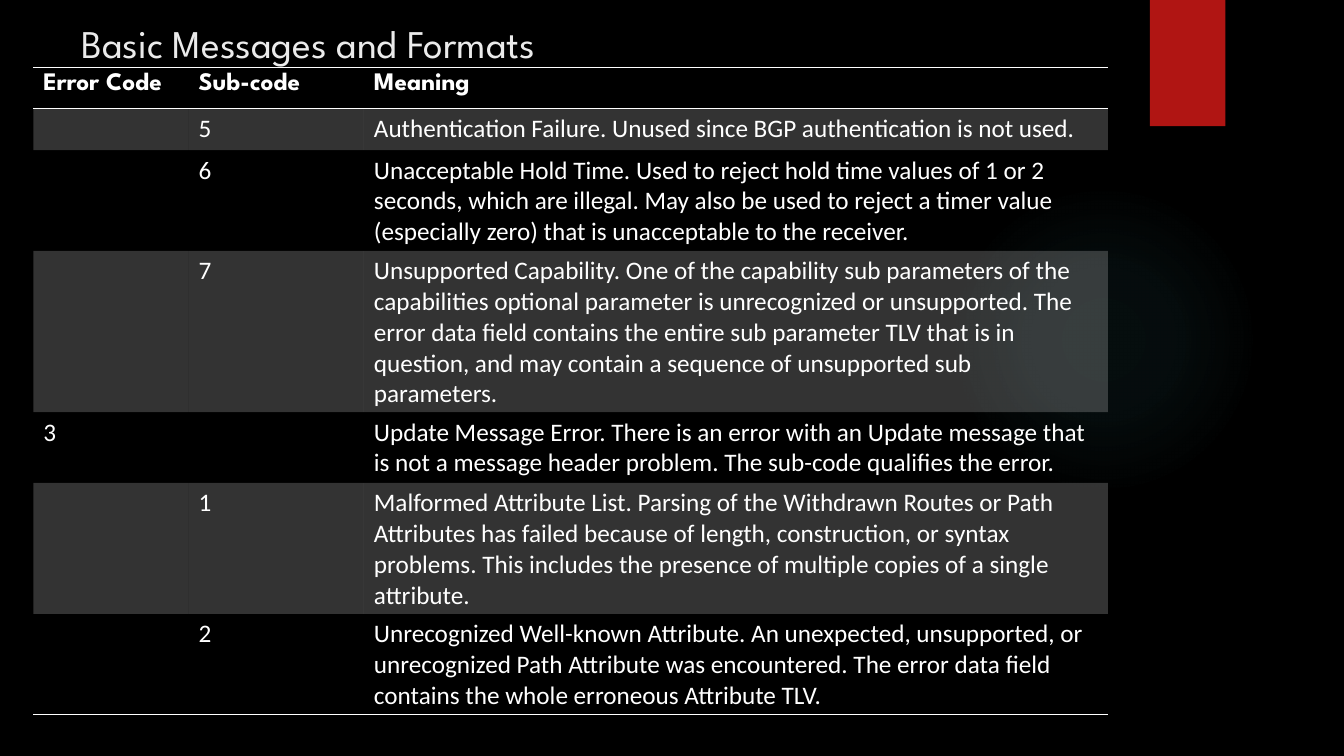
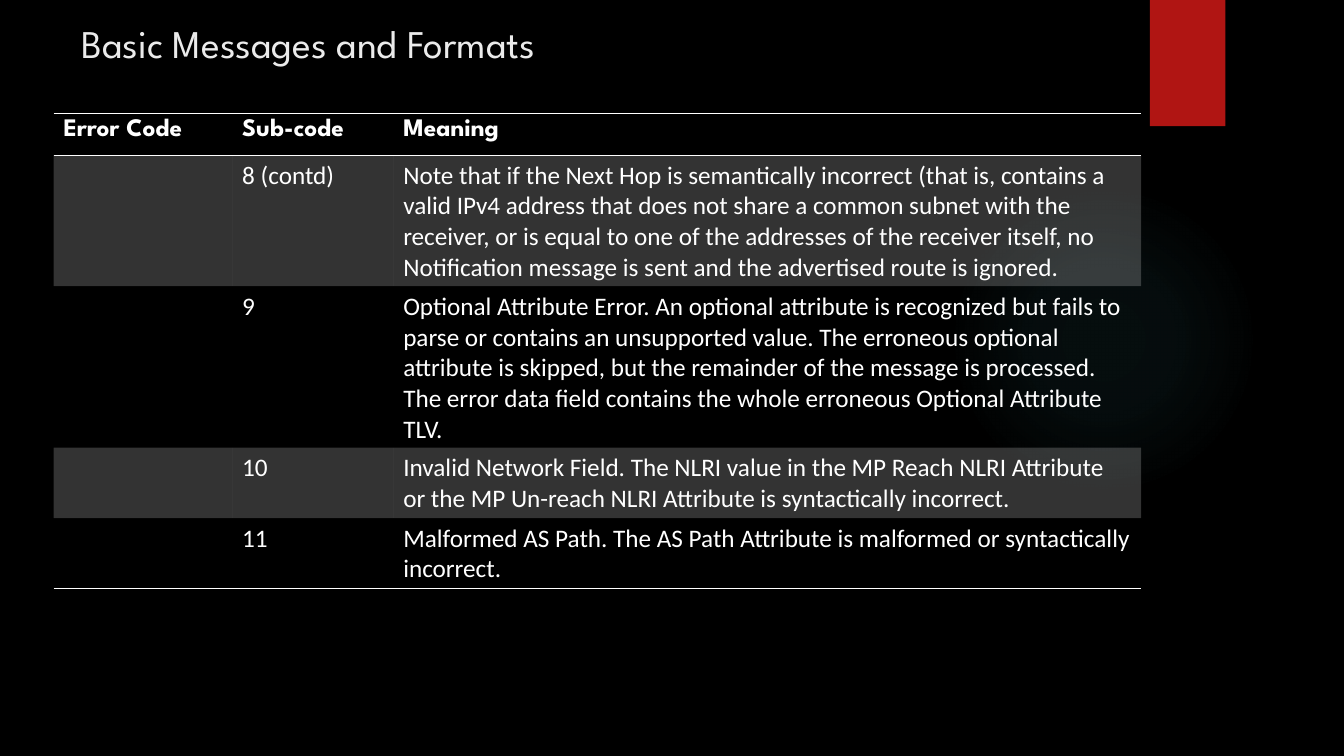
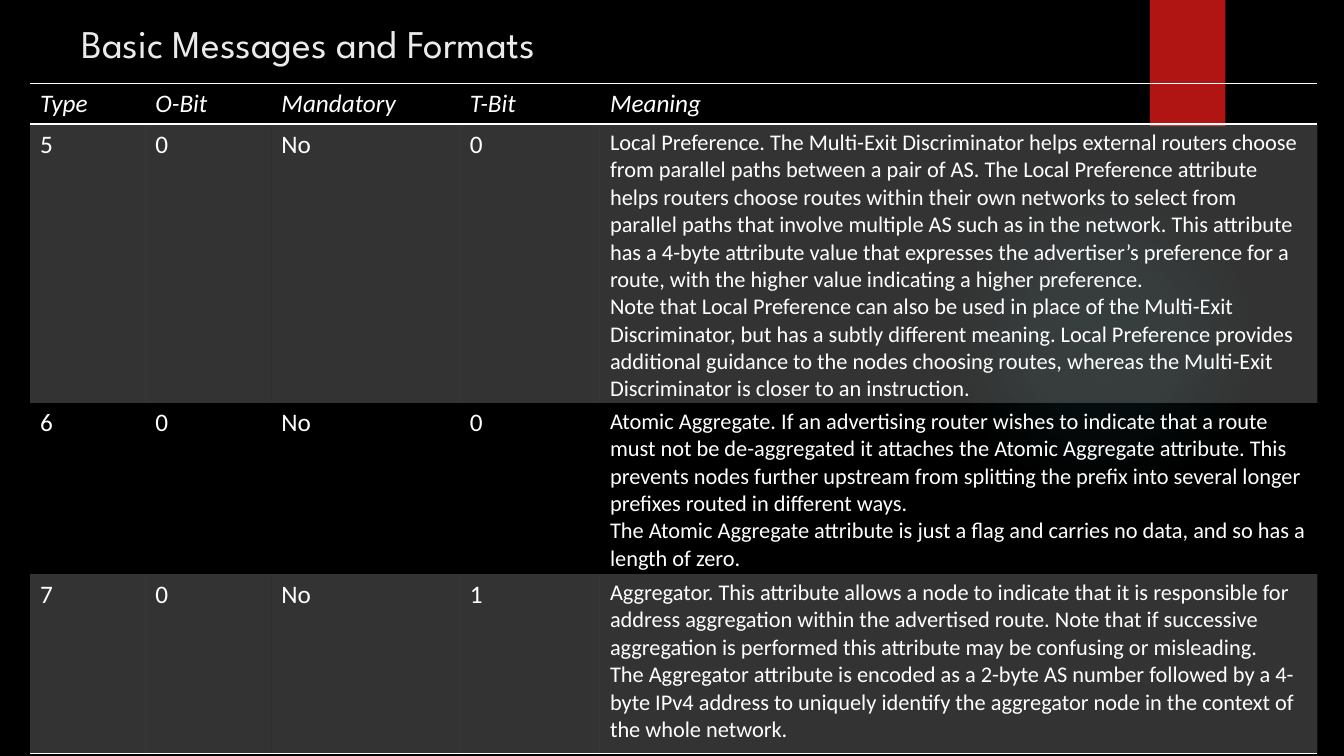
from dataclasses import dataclass

from pptx import Presentation
from pptx.dml.color import RGBColor
from pptx.enum.shapes import MSO_SHAPE
from pptx.enum.text import MSO_ANCHOR
from pptx.oxml import parse_xml
from pptx.oxml.ns import qn
from pptx.util import Cm, Pt

OVAL = MSO_SHAPE.OVAL
RECT = MSO_SHAPE.RECTANGLE
TOP = MSO_ANCHOR.TOP
BLANK = 6
NS = 'xmlns:a="http://schemas.openxmlformats.org/drawingml/2006/main"'
NO_STYLE = "{2D5ABB26-0587-4C30-8999-92F81FD0307C}"

HUES = {
    "back": "000000",
    "text": "FFFFFF",
    "title": "EBEBEB",
    "tab": "B01513",
    "glow": "50B9C1",
}
TITLE = {"name": "League Spartan", "size": Pt(28), "bold": False}
HEAD = {"name": "League Spartan", "size": Pt(18), "bold": True}
SLANT = {"name": "Calibri", "size": Pt(18), "bold": False, "italic": True}
BODY = {"name": "Calibri", "size": Pt(18), "bold": False, "italic": False}
SMALL = BODY | {"size": Pt(16)}


@dataclass
class Grid:
    left: float
    top: float
    widths: list[float]
    heights: list[float]
    rows: list[list[str]]
    head: dict
    last: dict


ERROR_HEAD = ["Error Code", "Sub-code", "Meaning"]

GRIDS = [
    Grid(
        0.84, 1.7, [3.91, 4.42, 18.75], [1.04] * 7,
        [
            ERROR_HEAD,
            ["", "5", "Authentication Failure. Unused since BGP authentication is not used."],
            ["", "6", "Unacceptable Hold Time. Used to reject hold time values of 1 or 2 "
             "seconds, which are illegal. May also be used to reject a timer value "
             "(especially zero) that is unacceptable to the receiver."],
            ["", "7", "Unsupported Capability. One of the capability sub parameters of the "
             "capabilities optional parameter is unrecognized or unsupported. The error "
             "data field contains the entire sub parameter TLV that is in question, and "
             "may contain a sequence of unsupported sub parameters."],
            ["3", "", "Update Message Error. There is an error with an Update message that "
             "is not a message header problem. The sub-code qualifies the error."],
            ["", "1", "Malformed Attribute List. Parsing of the Withdrawn Routes or Path "
             "Attributes has failed because of length, construction, or syntax problems. "
             "This includes the presence of multiple copies of a single attribute."],
            ["", "2", "Unrecognized Well-known Attribute. An unexpected, unsupported, or "
             "unrecognized Path Attribute was encountered. The error data field contains "
             "the whole erroneous Attribute TLV."],
        ],
        HEAD, BODY,
    ),
    Grid(
        1.35, 2.87, [4.5, 4.06, 18.85], [1.04] * 5,
        [
            ERROR_HEAD,
            ["", "8 (contd)", "Note that if the Next Hop is semantically incorrect (that is, "
             "contains a valid IPv4 address that does not share a common subnet with the "
             "receiver, or is equal to one of the addresses of the receiver itself, no "
             "Notification message is sent and the advertised route is ignored."],
            ["", "9", "Optional Attribute Error. An optional attribute is recognized but "
             "fails to parse or contains an unsupported value. The erroneous optional "
             "attribute is skipped, but the remainder of the message is processed. The "
             "error data field contains the whole erroneous Optional Attribute TLV."],
            ["", "10", "Invalid Network Field. The NLRI value in the MP Reach NLRI Attribute "
             "or the MP Un-reach NLRI Attribute is syntactically incorrect."],
            ["", "11", "Malformed AS Path. The AS Path Attribute is malformed or "
             "syntactically incorrect."],
        ],
        HEAD, BODY,
    ),
    Grid(
        0.76, 2.11, [2.9, 3.18, 4.75, 3.53, 18.08], [0.99, 6.99, 4.17, 4.52],
        [
            ["Type", "O-Bit", "Mandatory", "T-Bit", "Meaning"],
            ["5", "0", "No", "0", "Local Preference. The Multi-Exit Discriminator helps "
             "external routers choose from parallel paths between a pair of AS. The Local "
             "Preference attribute helps routers choose routes within their own networks to "
             "select from parallel paths that involve multiple AS such as in the network. "
             "This attribute has a 4-byte attribute value that expresses the advertiser’s "
             "preference for a route, with the higher value indicating a higher preference.\n"
             "Note that Local Preference can also be used in place of the Multi-Exit "
             "Discriminator, but has a subtly different meaning. Local Preference provides "
             "additional guidance to the nodes choosing routes, whereas the Multi-Exit "
             "Discriminator is closer to an instruction."],
            ["6", "0", "No", "0", "Atomic Aggregate. If an advertising router wishes to "
             "indicate that a route must not be de-aggregated it attaches the Atomic "
             "Aggregate attribute. This prevents nodes further upstream from splitting the "
             "prefix into several longer prefixes routed in different ways.\n"
             "The Atomic Aggregate attribute is just a flag and carries no data, and so has "
             "a length of zero."],
            ["7", "0", "No", "1", "Aggregator. This attribute allows a node to indicate that "
             "it is responsible for address aggregation within the advertised route. Note "
             "that if successive aggregation is performed this attribute may be confusing "
             "or misleading.\n"
             "The Aggregator attribute is encoded as a 2-byte AS number followed by a 4-byte "
             "IPv4 address to uniquely identify the aggregator node in the context of the "
             "whole network."],
        ],
        SLANT, SMALL,
    ),
]


def write(frame, text: str, form: dict, hue: str) -> None:
    frame.text = text
    for para in frame.paragraphs:
        for key, value in form.items():
            setattr(para.font, key, value)
        para.font.color.rgb = RGBColor.from_string(HUES[hue])


def add_form(slide, kind, left: float, top: float, width: float, height: float, hue: str):
    form = slide.shapes.add_shape(kind, Cm(left), Cm(top), Cm(width), Cm(height))
    form.shadow.inherit = False
    form.fill.solid()
    form.fill.fore_color.rgb = RGBColor.from_string(HUES[hue])
    form.line.fill.background()
    return form


def add_frame(slide, height: float) -> None:
    glow = add_form(slide, OVAL, 23.9, 4.65, 7.82, 7.82, "glow")
    stops = "".join(
        f'<a:gs pos="{pos}000"><a:srgbClr val="{HUES["glow"]}">'
        f'<a:alpha val="{alpha}000"/></a:srgbClr></a:gs>'
        for pos, alpha in ((0, 7), (36, 6), (69, 0))
    )
    fade = parse_xml(
        f'<a:gradFill {NS} rotWithShape="1"><a:gsLst>{stops}</a:gsLst><a:path path="circle">'
        '<a:fillToRect l="50000" t="50000" r="50000" b="50000"/></a:path></a:gradFill>'
    )
    props = glow.element.spPr
    props.replace(props.find(qn("a:solidFill")), fade)

    tab = add_form(slide, RECT, 28.98, 0, 1.9, 3.18, "tab")
    tab.element.spPr.find(qn("a:effectLst")).append(parse_xml(
        f'<a:outerShdw {NS} blurRad="{Pt(3)}" dist="{Pt(2)}" dir="5400000">'
        f'<a:srgbClr val="{HUES["back"]}"><a:alpha val="45000"/></a:srgbClr></a:outerShdw>'
    ))

    frame = slide.shapes.add_textbox(Cm(1.8), 0, Cm(26.14), Cm(height)).text_frame
    frame.word_wrap = True
    frame.vertical_anchor = TOP
    frame.margin_top = Cm(0.48)
    write(frame, "Basic Messages and Formats", TITLE, "title")


def add_edge(cell, tag: str) -> None:
    cell._tc.get_or_add_tcPr().append(parse_xml(
        f'<a:{tag} {NS} w="{Pt(1)}"><a:solidFill><a:srgbClr val="{HUES["text"]}"/>'
        f'</a:solidFill></a:{tag}>'
    ))


def paint(cell, band: bool) -> None:
    if not band:
        cell.fill.background()
        return
    cell.fill.solid()
    cell.fill.fore_color.rgb = RGBColor.from_string(HUES["text"])
    tint = cell._tc.tcPr.find(qn("a:solidFill")).find(qn("a:srgbClr"))
    tint.append(parse_xml(f'<a:alpha {NS} val="20000"/>'))


def add_grid(slide, grid: Grid) -> None:
    rows, cols = len(grid.rows), len(grid.widths)
    table = slide.shapes.add_table(
        rows, cols, Cm(grid.left), Cm(grid.top),
        Cm(sum(grid.widths)), Cm(sum(grid.heights)),
    ).table
    table._tbl.tblPr.find(qn("a:tableStyleId")).text = NO_STYLE
    for col, width in zip(table.columns, grid.widths):
        col.width = Cm(width)
    for row, height in zip(table.rows, grid.heights):
        row.height = Cm(height)
    for r, texts in enumerate(grid.rows):
        for c, text in enumerate(texts):
            cell = table.cell(r, c)
            if r == 0:
                add_edge(cell, "lnT")
            if r in (0, rows - 1):
                add_edge(cell, "lnB")
            paint(cell, r % 2 == 1)
            form = grid.head if r == 0 else grid.last if c == cols - 1 else BODY
            write(cell.text_frame, text, form, "text")


def main() -> None:
    deck = Presentation()
    deck.slide_width, deck.slide_height = Cm(33.87), Cm(19.05)
    back = deck.slide_master.background.fill
    back.solid()
    back.fore_color.rgb = RGBColor.from_string(HUES["back"])
    for grid in GRIDS:
        slide = deck.slides.add_slide(deck.slide_layouts[BLANK])
        add_frame(slide, min(grid.top, 2.11))
        add_grid(slide, grid)
    deck.save("out.pptx")


if __name__ == "__main__":
    main()
